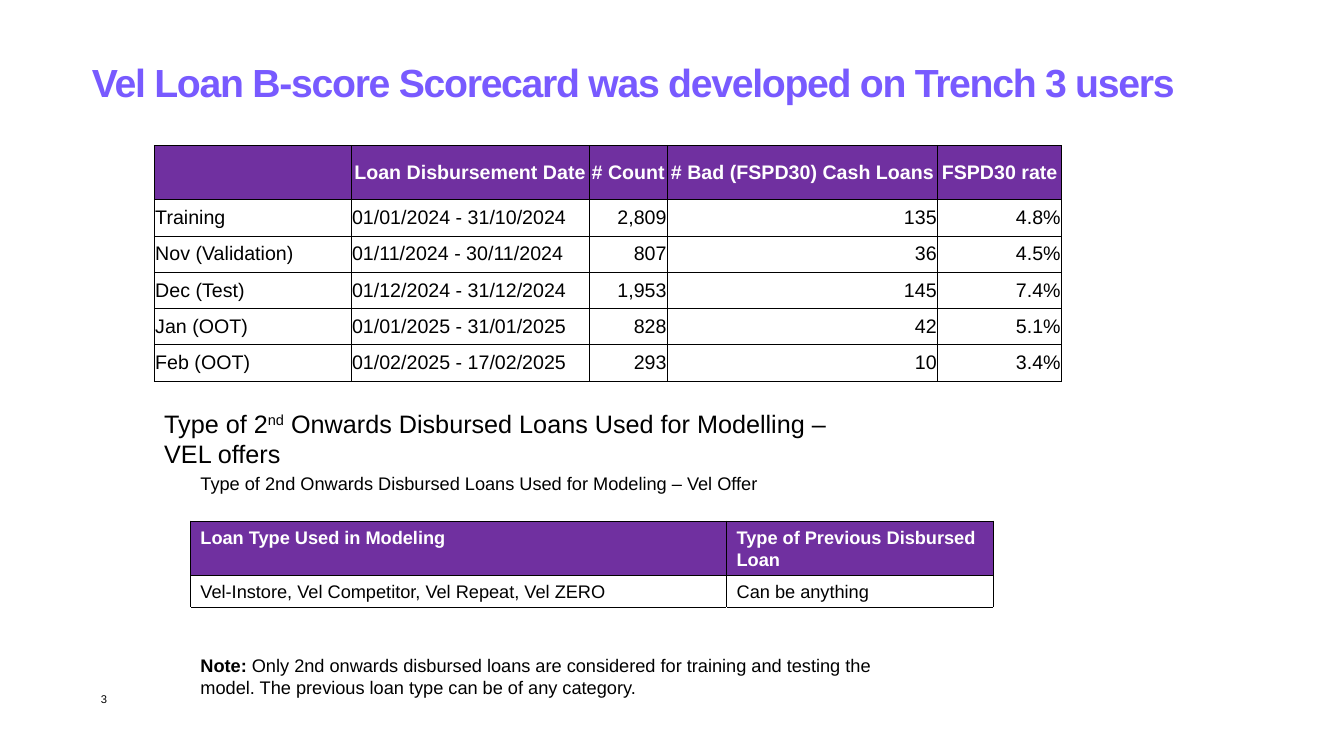
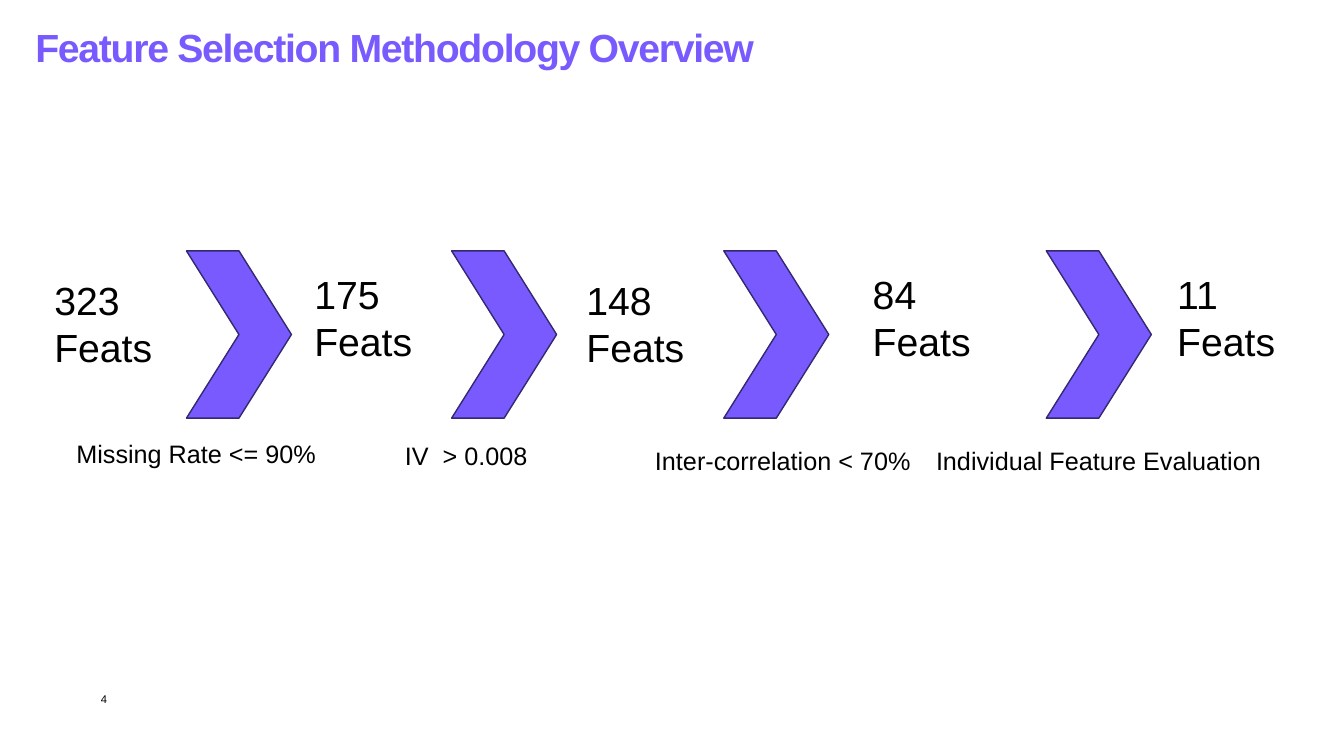
import pptx
import pptx.util
import pptx.dml.color
import pptx.enum.shapes
import pptx.enum.text
import pptx.oxml.ns
import lxml.etree
from dataclasses import dataclass

Pt = pptx.util.Pt
Align = pptx.enum.text.PP_ALIGN
Anchor = pptx.enum.text.MSO_ANCHOR
Shape = pptx.enum.shapes.MSO_SHAPE
qn = pptx.oxml.ns.qn


@dataclass(frozen=True)
class Theme:
    font: str = "Arial"
    ink: str = "000000"
    paper: str = "FFFFFF"
    accent: str = "785AFF"
    edge: str = "352770"
    head: str = "7030A0"
    title: float = 28
    count: float = 28
    label: float = 18
    data: float = 14
    note: float = 13
    page: float = 8


LOOK = Theme()


def rgb(code):
    return pptx.dml.color.RGBColor.from_string(code)


def write(frame, *lines, size=LOOK.label, color=LOOK.ink, bold=False,
          align=Align.LEFT, lead=None, track=None):
    """Each line is a string or a list of (text, run format) pairs."""
    for i, line in enumerate(lines):
        para = frame.add_paragraph() if i else frame.paragraphs[0]
        para.alignment = align
        if lead:
            para.line_spacing = lead
        for text, form in [(line, {})] if isinstance(line, str) else line:
            run = para.add_run()
            run.text = text
            font = run.font
            font.name, font.size = LOOK.font, Pt(size)
            font.bold = form.get("bold", bold)
            font.color.rgb = rgb(color)
            props = run._r.get_or_add_rPr()
            if "lift" in form:
                props.set("baseline", str(form["lift"] * 1000))
            if track:
                props.set("spc", str(round(track * 100)))


def inset(item, x, y):
    item.margin_left = item.margin_right = Pt(x)
    item.margin_top = item.margin_bottom = Pt(y)


def border(cell, width, color, **sides):
    """Draw all four sides; a side given by name is a (width, color) pair."""
    props = cell._tc.get_or_add_tcPr()
    for i, side in enumerate("LRTB"):
        wide, code = sides.get(side, (width, color))
        line = lxml.etree.Element(qn("a:ln" + side), w=str(int(Pt(wide))))
        fill = lxml.etree.SubElement(line, qn("a:solidFill"))
        lxml.etree.SubElement(fill, qn("a:srgbClr"), val=code)
        props.insert(i, line)


class Deck:
    def __init__(self):
        self.show = pptx.Presentation()
        self.show.slide_width, self.show.slide_height = Pt(960), Pt(540)
        self.slide = None

    def page(self, number, title, box, pad=0):
        self.slide = self.show.slides.add_slide(self.show.slide_layouts[5])
        head = self.slide.shapes.title
        head.left, head.top, head.width, head.height = map(Pt, box)
        frame = head.text_frame
        frame.word_wrap, frame.vertical_anchor = True, Anchor.TOP
        frame.auto_size = pptx.enum.text.MSO_AUTO_SIZE.NONE
        inset(frame, 0, pad)
        write(frame, title, size=LOOK.title, color=LOOK.accent, bold=True,
              lead=1.1, track=-0.9)
        self.text((72, 494.6, 210, 18), str(number), pad=(0, 0), size=LOOK.page)

    def text(self, box, *lines, pad=(7.2, 3.6), **form):
        frame = self.slide.shapes.add_textbox(*map(Pt, box)).text_frame
        frame.word_wrap = True
        inset(frame, *pad)
        write(frame, *lines, **form)

    def chevron(self, *box):
        mark = self.slide.shapes.add_shape(Shape.CHEVRON, *map(Pt, box))
        mark.shadow.inherit = False
        mark.fill.solid()
        mark.fill.fore_color.rgb = rgb(LOOK.accent)
        mark.line.color.rgb = rgb(LOOK.edge)
        mark.line.width = Pt(1)

    def table(self, left, top, cols, rows):
        grid = self.slide.shapes.add_table(
            len(rows), len(cols), Pt(left), Pt(top),
            Pt(sum(cols)), Pt(sum(rows))).table
        grid.first_row = grid.horz_banding = False
        for col, width in zip(grid.columns, cols):
            col.width = Pt(width)
        for row, height in zip(grid.rows, rows):
            row.height = Pt(height)
        return grid

    def cell(self, cell, text, fill=None, pad=(7.2, 3.6), anchor=Anchor.TOP, **form):
        inset(cell, *pad)
        cell.vertical_anchor = anchor
        if fill:
            cell.fill.solid()
            cell.fill.fore_color.rgb = rgb(fill)
        else:
            cell.fill.background()
        if text:
            color = LOOK.paper if fill else LOOK.ink
            write(cell.text_frame, text, color=color, bold=bool(fill), **form)


def samples(deck):
    deck.page(3, "Vel Loan B-score Scorecard was developed on Trench 3 users",
              (65.7, 38.2, 816.5, 38.2))
    deck.text((110.2, 288, 519, 29), [
        ("Type of 2", {}), ("nd", {"lift": 30}),
        (" Onwards Disbursed Loans Used for Modelling – VEL offers", {})])

    # Loan types, with a caption row above and a note row below
    rows = [
        ["Type of 2nd Onwards Disbursed Loans Used for Modeling – Vel Offer", ""],
        ["Loan Type Used in Modeling", "Type of Previous Disbursed Loan"],
        ["Vel-Instore, Vel Competitor, Vel Repeat, Vel ZERO", "Can be anything"],
        ["", ""],
        [[("Note:", {"bold": True}),
          (" Only 2nd onwards disbursed loans are considered for training "
           "and testing the model. The previous loan type can be of "
           "any category.", {})], ""],
    ]
    black, white = (0.61, LOOK.ink), (1, LOOK.paper)
    edges = [{"B": black}, {}, {}, {"T": black}, {}]
    grid = deck.table(136, 333.6, [383, 190.6], [38.6, 38.6, 23, 29.6, 38.6])
    for i, row in enumerate(rows):
        for j, text in enumerate(row):
            cell = grid.cell(i, j)
            deck.cell(cell, text, fill=LOOK.head if i == 1 else None,
                      size=LOOK.note, lead=Pt(15.8))
            border(cell, *(black if i in (1, 2) else white), **edges[i])
    for i in (0, 4):
        grid.cell(i, 0).merge(grid.cell(i, 1))
    grid.cell(4, 0).margin_right = Pt(66)

    # Sample counts
    rows = [
        ["", "Loan Disbursement Date", "# Count", "# Bad (FSPD30) Cash Loans", "FSPD30 rate"],
        ["Training", "01/01/2024 - 31/10/2024", "2,809", "135", "4.8%"],
        ["Nov (Validation)", "01/11/2024 - 30/11/2024", "807", "36", "4.5%"],
        ["Dec (Test)", "01/12/2024 - 31/12/2024", "1,953", "145", "7.4%"],
        ["Jan (OOT)", "01/01/2025 - 31/01/2025", "828", "42", "5.1%"],
        ["Feb (OOT)", "01/02/2025 - 17/02/2025", "293", "10", "3.4%"],
    ]
    grid = deck.table(110.2, 103.9, [140.6, 170, 56, 193, 88.6], [38.8] + [25.9] * 5)
    for i, row in enumerate(rows):
        for j, text in enumerate(row):
            cell = grid.cell(i, j)
            align = Align.CENTER if i == 0 else Align.RIGHT if j > 1 else Align.LEFT
            deck.cell(cell, text, fill=None if i else LOOK.head, pad=(0.7, 0.4),
                      anchor=Anchor.MIDDLE, size=LOOK.data, align=align)
            border(cell, 0.5, LOOK.ink)


def funnel(deck):
    deck.page(4, "Feature Selection Methodology Overview",
              (25.2, 5.8, 898.6, 66.2), pad=7.2)

    # Filter labels
    for x, y, width, text, align in [
            (47.5, 309.6, 196, "Missing Rate <= 90%", Align.LEFT),
            (282.2, 311, 210, "IV  > 0.008", Align.LEFT),
            (460.8, 314.6, 233, "Inter-correlation < 70%", Align.LEFT),
            (654.7, 314.6, 260, "Individual Feature Evaluation", Align.CENTER)]:
        deck.text((x, y, width, 29), text, align=align)

    # Features left after each filter
    for x, y, count in [(31.7, 193.7, 323), (217.4, 189.4, 175), (411.8, 193.7, 148),
                        (616.3, 189.4, 84), (833.8, 189.4, 11)]:
        deck.text((x, y, 114.5, 75), str(count), "Feats", size=LOOK.count)

    # Filters
    for x in (133.2, 322.6, 517, 747.4):
        deck.chevron(x, 179.2, 75, 119.5)


def main():
    deck = Deck()
    samples(deck)
    funnel(deck)
    deck.show.save("out.pptx")


if __name__ == "__main__":
    main()
